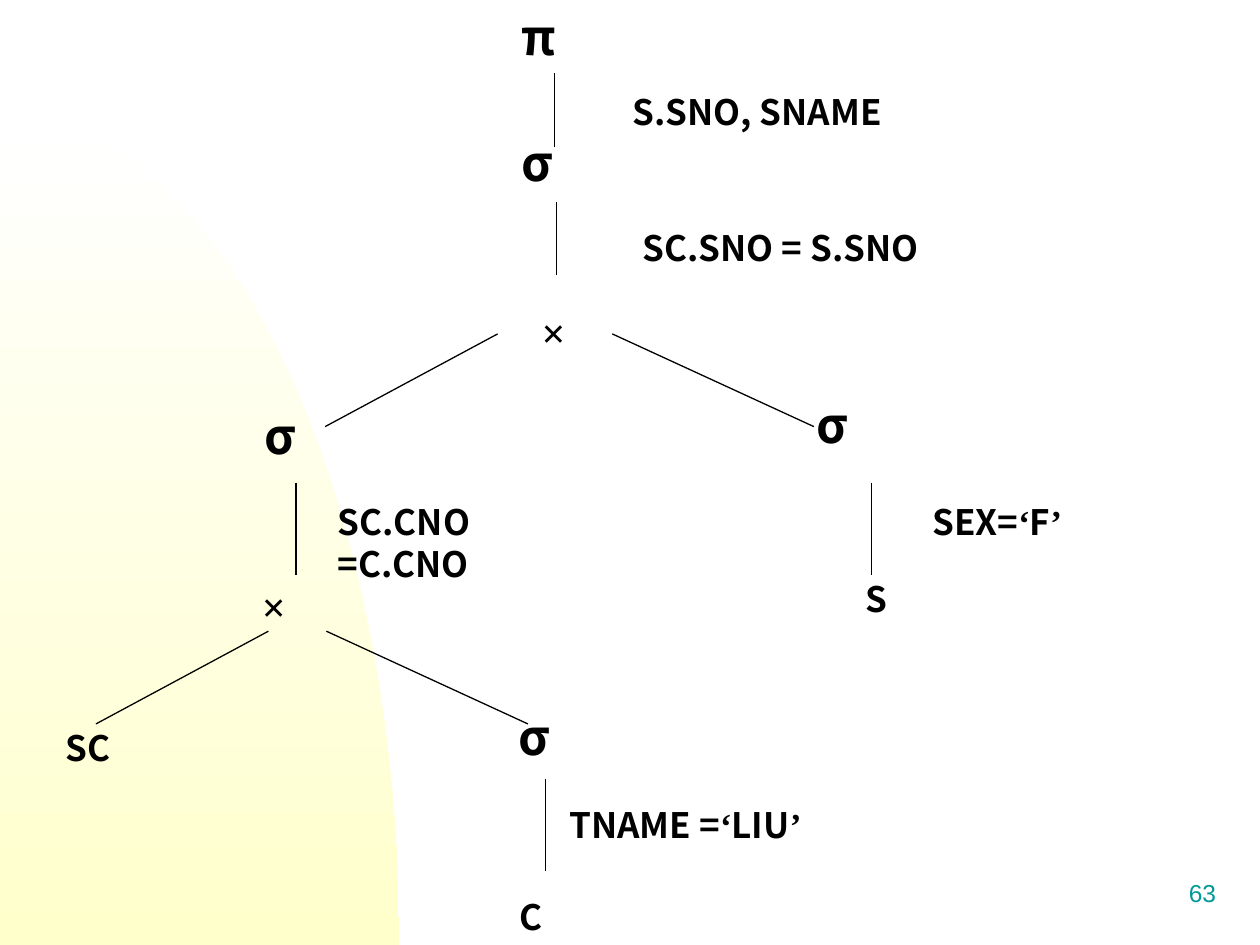
from math import cos, pi, sin

from lxml.etree import SubElement
from pptx import Presentation
from pptx.dml.color import RGBColor
from pptx.enum.shapes import MSO_CONNECTOR
from pptx.enum.text import MSO_ANCHOR, PP_ALIGN
from pptx.oxml.ns import qn
from pptx.util import Pt

SANS, SERIF = "Noto Sans CJK SC", "Times New Roman"
THEME = {
    "ink": RGBColor.from_string("010000"),
    "glow": ("FFFFFF", "FFFFCC"),
    "line": 0.75,
    "sign": {"name": SANS, "size": Pt(28), "bold": True},
    "times": {"name": SERIF, "size": Pt(24), "bold": True},
    "label": {"name": SANS, "size": Pt(20), "bold": True},
    "quote": {"name": SERIF, "size": Pt(20), "bold": True},
    "page": {"name": "Arial", "size": Pt(14)},
}
THEME["page_ink"] = RGBColor.from_string("009999")
WIDE, HIGH = 720, 540

# Tree nodes: text, style, left, top
NODES = [
    ("π", "sign", 290.8, 0),
    ("σ", "sign", 290.8, 72),
    ("×", "times", 302.4, 171.4),
    ("σ", "sign", 143.8, 228),
    ("σ", "sign", 459.2, 222),
    ("×", "times", 142.6, 328.3),
    ("S", "label", 487.4, 326.2),
    ("SC", "label", 30.2, 411.8),
    ("σ", "sign", 289.4, 400.3),
    ("C", "label", 289.9, 508.3),
]
NODE_W, NODE_H = 82, 32

# Conditions beside the nodes: text, left, top, width, height
NOTES = [
    ("S.SNO, SNAME", 354.2, 48.2, 184.3, 30.2),
    ("SC.SNO = S.SNO", 360, 126, 216, 60),
    ("SC.CNO =C.CNO", 185.8, 282.2, 162, 54),
    ("SEX=‘F’", 525.6, 282.2, 182.9, 54),
    ("TNAME =‘LIU’", 318.2, 455.8, 210.2, 48),
]

# Edges: start x, start y, run, drop
EDGES = [
    (316.8, 42, 0, 42),
    (318.2, 115.2, 0, 42),
    (284.4, 190.8, -98.6, 53),
    (349.9, 190.8, 115.2, 53),
    (169.2, 275.8, 0, 53),
    (498.2, 275.8, 0, 53),
    (153.4, 360.7, -98.6, 53),
    (186.5, 360.7, 115.2, 53),
    (311.8, 445, 0, 53),
]

deck = Presentation()
deck.slide_width, deck.slide_height = Pt(WIDE), Pt(HIGH)
slide = deck.slides.add_slide(deck.slide_layouts[6])
shapes = slide.shapes


def split(text):
    """Cut a label into runs so that quote marks get their own font."""
    for mark in "‘’":
        text = text.replace(mark, f"|{mark}|")
    return [part for part in text.split("|") if part]


def write(text, style, box, ink=THEME["ink"], align=PP_ALIGN.JUSTIFY):
    frame = shapes.add_textbox(*map(Pt, box)).text_frame
    frame.word_wrap = True
    para = frame.paragraphs[0]
    para.alignment = align
    for part in split(text):
        run = para.add_run()
        run.text = part
        look = THEME["quote" if part in "‘’" else style]
        for key, value in look.items():
            setattr(run.font, key, value)
        run.font.color.rgb = ink
    return frame


# Quarter ellipse in the lower left corner
ARC_W, ARC_H, STEPS = 228, 474, 90
turns = [pi / 2 * i / STEPS for i in range(STEPS + 1)]
arc = [(Pt(ARC_W * sin(t)), Pt(HIGH - ARC_H * cos(t))) for t in turns]
pen = shapes.build_freeform(*arc[0])
pen.add_line_segments(arc[1:] + [(0, Pt(HIGH))], close=True)
glow = pen.convert_to_shape()
glow.shadow.inherit = False
glow.line.fill.background()
glow.fill.gradient()
glow.fill.gradient_angle = 270
for stop, tint in zip(glow.fill.gradient_stops, THEME["glow"]):
    stop.color.rgb = RGBColor.from_string(tint)

# Page number
page = write("63", "page", (552, 492, 150, 36), THEME["page_ink"], PP_ALIGN.RIGHT)
page.vertical_anchor = MSO_ANCHOR.MIDDLE

# Conditions and nodes
for text, *box in NOTES:
    write(text, "label", box)
for text, style, x, y in NODES:
    write(text, style, (x, y, NODE_W, NODE_H))

# Edges
for x, y, run, drop in EDGES:
    ends = map(Pt, (x, y, x + run, y + drop))
    edge = shapes.add_connector(MSO_CONNECTOR.STRAIGHT, *ends)
    edge.line.color.rgb = THEME["ink"]
    edge.line.width = Pt(THEME["line"])
    SubElement(edge.element.spPr, qn("a:effectLst"))

deck.save("out.pptx")
